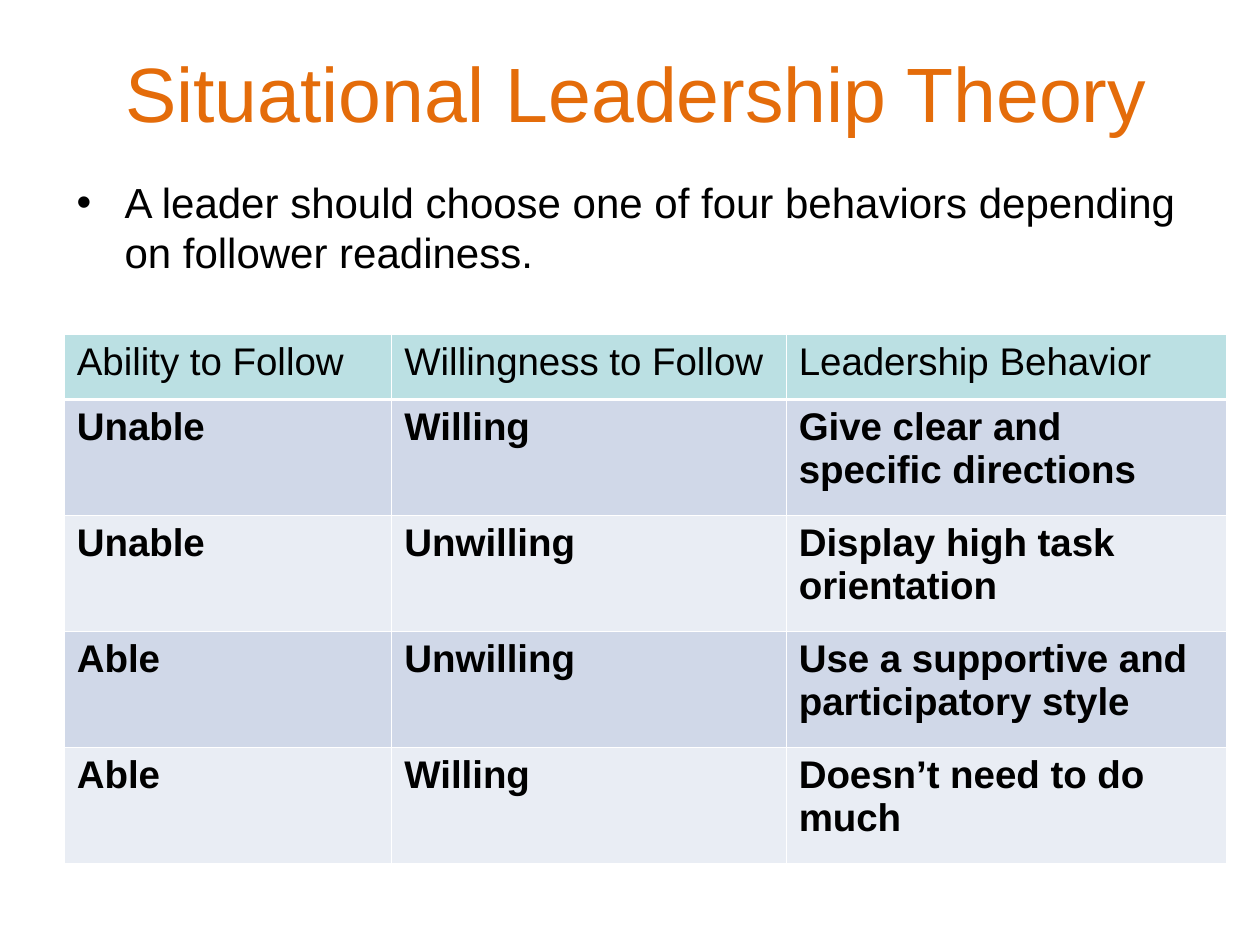
import pptx
import pptx.dml.color
import pptx.enum.text
import pptx.oxml.ns
import pptx.util
from lxml import etree

Inches = pptx.util.Inches
Pt = pptx.util.Pt
Anchor = pptx.enum.text.MSO_ANCHOR
Align = pptx.enum.text.PP_ALIGN

COLORS = {
    "title": "E46C0A",
    "text": "000000",
    "header": "BBE0E3",
    "band_dark": "D0D8E8",
    "band_light": "E9EDF4",
    "border": "FFFFFF",
}
FORMATS = {
    "title": {"name": "Arial", "size": Pt(44), "bold": False},
    "body": {"name": "Arial", "size": Pt(24), "bold": False},
    "header": {"name": "Arial", "size": Pt(22), "bold": False},
    "cell": {"name": "Arial", "size": Pt(22), "bold": True},
}
COLUMN_WIDTHS = [2.6, 3.13, 3.49]
HEADER_HEIGHT = 0.52
THIN, THICK = 0.45, 1.47
ROWS = [
    ["Ability to Follow", "Willingness to Follow", "Leadership Behavior"],
    ["Unable", "Willing", "Give clear and specific directions"],
    ["Unable", "Unwilling", "Display high task orientation"],
    ["Able", "Unwilling", "Use a supportive and participatory style"],
    ["Able", "Willing", "Doesn’t need to do much"],
]


def rgb(color):
    return pptx.dml.color.RGBColor.from_string(COLORS[color])


def add_element(parent, tag, **attributes):
    return etree.SubElement(parent, pptx.oxml.ns.qn(tag), attributes)


def write_text(paragraph, text, style, color="text"):
    run = paragraph.add_run()
    run.text = text
    for attribute, value in FORMATS[style].items():
        setattr(run.font, attribute, value)
    run.font.color.rgb = rgb(color)


def add_text_frame(slide, box, **settings):
    frame = slide.shapes.add_textbox(*map(Inches, box)).text_frame
    frame.word_wrap = True
    for attribute, value in settings.items():
        setattr(frame, attribute, value)
    return frame


def add_title(slide, box, text):
    frame = add_text_frame(slide, box, margin_left=Inches(0.2),
                           vertical_anchor=Anchor.MIDDLE)
    paragraph = frame.paragraphs[0]
    paragraph.alignment = Align.CENTER
    write_text(paragraph, text, "title", "title")


def add_bullet(slide, box, text):
    frame = add_text_frame(slide, box, margin_top=Inches(0.09))
    paragraph = frame.paragraphs[0]
    # Hanging indent with a round bullet
    properties = paragraph._p.get_or_add_pPr()
    properties.set("marL", str(Inches(0.38)))
    properties.set("indent", str(-Inches(0.38)))
    bullet_color = add_element(properties, "a:buClr")
    add_element(bullet_color, "a:srgbClr", val=COLORS["text"])
    add_element(properties, "a:buFont", typeface="Arial")
    add_element(properties, "a:buChar", char="•")
    write_text(paragraph, text, "body")


def set_borders(cell, widths):
    properties = cell._tc.get_or_add_tcPr()
    for side, width in widths.items():
        line = add_element(properties, f"a:ln{side}", w=str(Pt(width)))
        fill = add_element(line, "a:solidFill")
        add_element(fill, "a:srgbClr", val=COLORS["border"])


def add_behavior_table(slide, box, rows):
    shape = slide.shapes.add_table(len(rows), len(rows[0]), *map(Inches, box))
    table = shape.table
    for column, width in zip(table.columns, COLUMN_WIDTHS):
        column.width = Inches(width)
    body_height = (box[3] - HEADER_HEIGHT) / (len(rows) - 1)
    for index, values in enumerate(rows):
        is_header = index == 0
        table.rows[index].height = Inches(HEADER_HEIGHT if is_header else body_height)
        band = "band_dark" if index % 2 else "band_light"
        # The rule under the header is thicker than the others
        widths = {"L": THIN, "R": THIN,
                  "T": THICK if index == 1 else THIN,
                  "B": THICK if is_header else THIN}
        for cell, text in zip(table.rows[index].cells, values):
            set_borders(cell, widths)
            cell.fill.solid()
            cell.fill.fore_color.rgb = rgb("header" if is_header else band)
            write_text(cell.text_frame.paragraphs[0], text,
                       "header" if is_header else "cell")


def main():
    presentation = pptx.Presentation()
    presentation.slide_width = Inches(10)
    presentation.slide_height = Inches(7.5)
    slide = presentation.slides.add_slide(presentation.slide_layouts[6])
    add_title(slide, (0.5, 0.3, 9, 0.85), "Situational Leadership Theory")
    add_bullet(slide, (0.51, 1.31, 9.21, 1.42),
               "A leader should choose one of four behaviors depending on follower readiness.")
    add_behavior_table(slide, (0.51, 2.65, 9.21, 4.2), ROWS)
    presentation.save("out.pptx")


if __name__ == "__main__":
    main()
